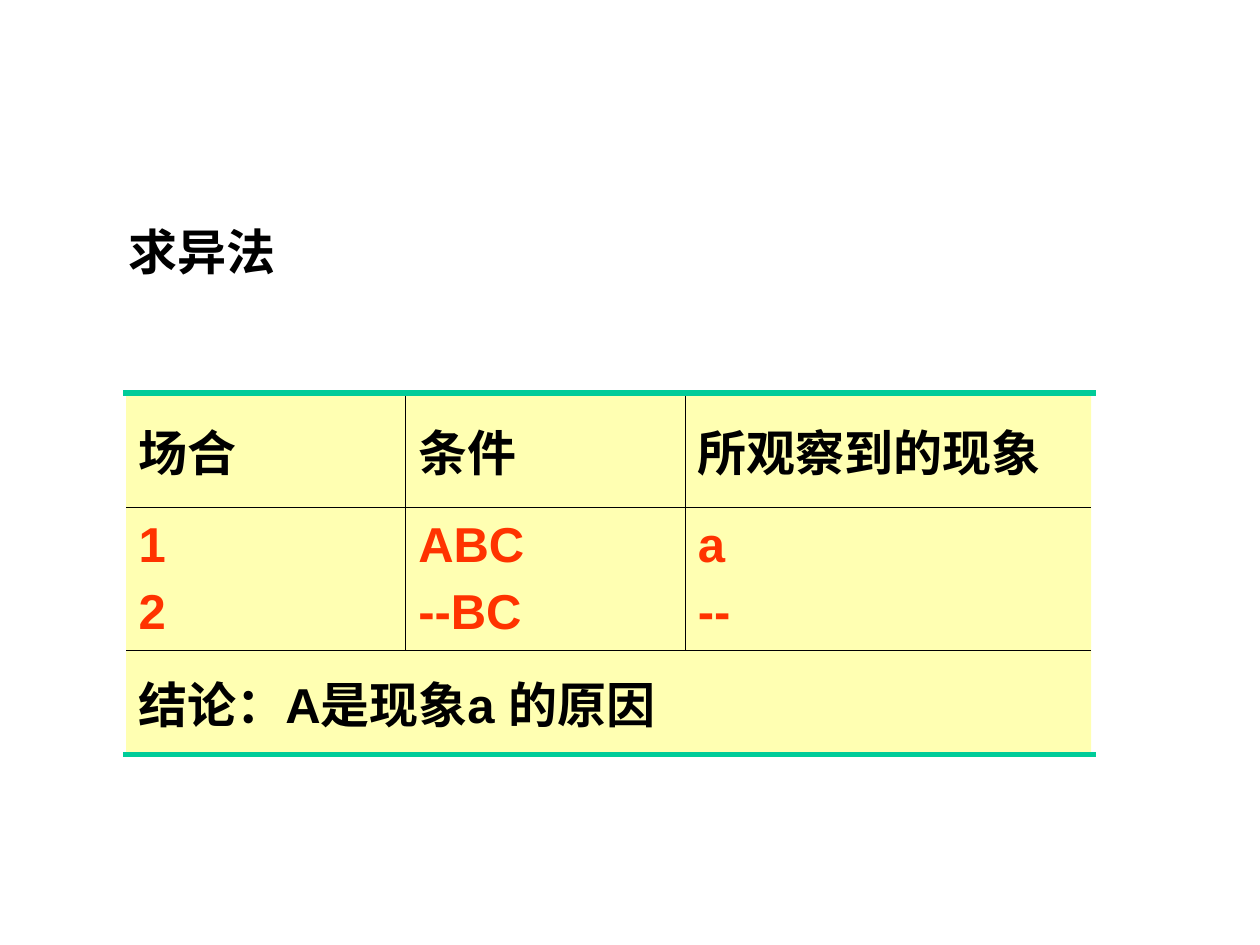
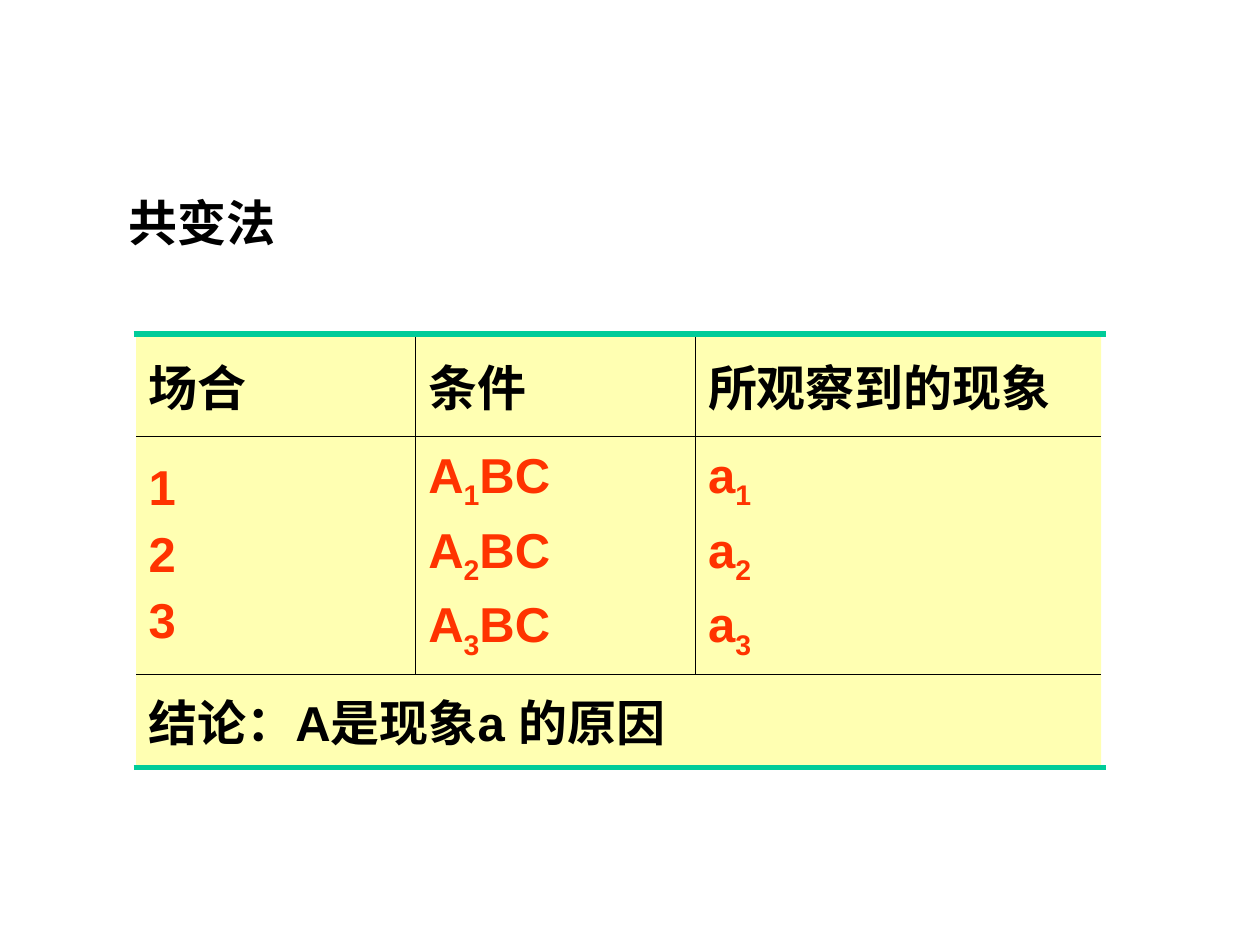
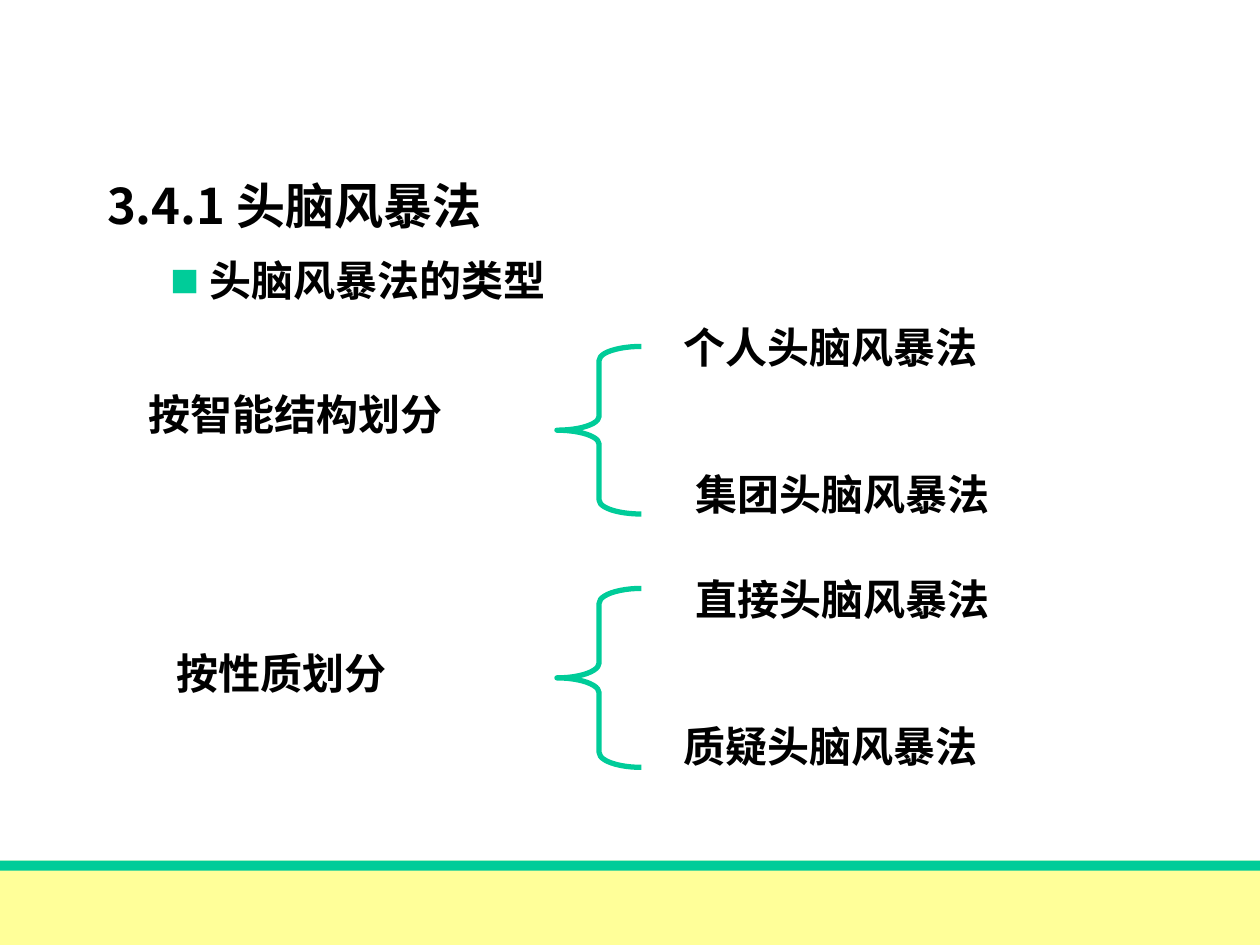
import pptx
import pptx.dml.color
import pptx.enum.shapes
import pptx.enum.text
import pptx.oxml
import pptx.oxml.ns
import pptx.util
from pptx.util import Inches

COLORS = {"text": "000000", "accent": "00CC99", "result": "FF3300",
          "cell": "FFFF66", "band": "FFFF99"}
EAST_ASIAN = "Noto Sans CJK SC"
TITLE = {"name": "Times New Roman", "size": pptx.util.Pt(28), "bold": True}
LABEL = {**TITLE, "size": pptx.util.Pt(24)}
CELL = {**TITLE, "name": "Arial"}
HEADING = {**TITLE, "name": EAST_ASIAN}
BULLET = {**LABEL, "name": "Arial"}

HEADERS = ["场合", "条件", "所观察到的现象"]
CONCLUSION = "结论：A是现象a 的原因"
COLUMNS = [2.22, 2.22, 3.22]
INNER, OUTER = 0.45, 1.08
SHAPES = pptx.enum.shapes.MSO_SHAPE


def color(name):
    return pptx.dml.color.RGBColor.from_string(COLORS[name])


def set_values(target, values):
    for name, value in values.items():
        setattr(target, name, value)


def add_xml(parent, tag, **attributes):
    child = parent.makeelement(pptx.oxml.ns.qn(tag), attributes)
    parent.append(child)
    return child


def add_edges(cell, widths):
    """Draw the cell's sides; a width of 0 leaves a side without a line."""
    properties = cell._tc.get_or_add_tcPr()
    for side in "LRTB":
        width = widths[side]
        line = add_xml(properties, f"a:ln{side}", w=str(int(pptx.util.Pt(width))))
        if width:
            fill = add_xml(line, "a:solidFill")
            add_xml(fill, "a:srgbClr", val=COLORS["text"])
        else:
            add_xml(line, "a:noFill")


def add_bullet(para, character, percent):
    properties = para._p.get_or_add_pPr()
    add_xml(add_xml(properties, "a:buClr"), "a:srgbClr", val=COLORS["accent"])
    add_xml(properties, "a:buSzPct", val=str(percent * 1000))
    add_xml(properties, "a:buFont", typeface="Arial")
    add_xml(properties, "a:buChar", char=character)


class SlideBuilder:
    def __init__(self, deck):
        self.deck = deck
        self.slide = None

    def new_slide(self, layout):
        self.slide = self.deck.slides.add_slide(self.deck.slide_layouts.get_by_name(layout))

    def place(self, shape, left, top, width, height):
        set_values(shape, {"left": Inches(left), "top": Inches(top),
                           "width": Inches(width), "height": Inches(height)})

    def add_text(self, para, parts, style, tint="text"):
        """Add text; in a tuple every second part is a subscript."""
        for index, part in enumerate([parts] if isinstance(parts, str) else parts):
            span = para.add_run()
            span.text = part
            set_values(span.font, style)
            span.font.color.rgb = color(tint)
            properties = span._r.get_or_add_rPr()
            add_xml(properties, "a:ea", typeface=EAST_ASIAN)
            if index % 2:
                properties.set("baseline", "-25000")

    def title(self, text, top):
        box = self.slide.shapes.title
        self.place(box, 0.92, top, 5.17, 0.57)
        set_values(box.text_frame, {"auto_size": pptx.enum.text.MSO_AUTO_SIZE.NONE,
                                    "vertical_anchor": pptx.enum.text.MSO_ANCHOR.TOP})
        para = box.text_frame.paragraphs[0]
        para.alignment = pptx.enum.text.PP_ALIGN.LEFT
        self.add_text(para, text, TITLE)

    def heading_list(self, heading, item):
        title = self.slide.shapes.title
        title._element.getparent().remove(title._element)
        box = self.slide.placeholders[1]
        self.place(box, 0.75, 1.25, 8.75, 1.33)
        frame = box.text_frame
        frame.auto_size = pptx.enum.text.MSO_AUTO_SIZE.NONE
        first, second = frame.paragraphs[0], frame.add_paragraph()
        second.level = 1
        for para, margin, indent in [(first, 0.38, -0.38), (second, 0.81, -0.31)]:
            properties = para._p.get_or_add_pPr()
            properties.set("marL", str(Inches(margin)))
            properties.set("indent", str(Inches(indent)))
        add_xml(first._p.get_or_add_pPr(), "a:buNone")
        add_bullet(second, "■", 115)
        set_values(first, {"line_spacing": 1.2, "space_before": pptx.util.Pt(0)})
        set_values(second, {"line_spacing": 1.2, "space_before": pptx.util.Pt(6)})
        self.add_text(first, heading, HEADING)
        self.add_text(second, item, BULLET)

    def label(self, text, left, top, width=2.58, line_spacing=1.0):
        box = self.slide.shapes.add_textbox(Inches(left), Inches(top), Inches(width), Inches(0.5))
        box.text_frame.word_wrap = True
        para = box.text_frame.paragraphs[0]
        para.line_spacing = line_spacing
        self.add_text(para, text, LABEL)

    def rule(self, left, right, y):
        line = self.slide.shapes.add_connector(
            pptx.enum.shapes.MSO_CONNECTOR.STRAIGHT,
            Inches(left), Inches(y), Inches(right), Inches(y))
        line.line.color.rgb = color("accent")
        line.line.width = pptx.util.Pt(3)
        add_xml(line._element.spPr, "a:effectLst")

    def brace(self, top, height):
        width = 0.67
        brace = self.slide.shapes.add_shape(
            SHAPES.LEFT_BRACE, Inches(4.42), Inches(top), Inches(width), Inches(height))
        brace.adjustments[0] = height / 12 / width
        brace.shadow.inherit = False
        brace.fill.background()
        brace.line.color.rgb = color("accent")
        brace.line.width = pptx.util.Pt(3)

    def footer(self):
        group = self.slide.shapes.add_group_shape()
        for tint, height in [("band", 0.67), ("accent", 0.08)]:
            bar = group.shapes.add_shape(
                SHAPES.RECTANGLE, 0, Inches(6.83), self.deck.slide_width, Inches(height))
            bar.shadow.inherit = False
            bar.fill.solid()
            bar.fill.fore_color.rgb = color(tint)
            bar.line.fill.background()

    def method_table(self, left, top, heights, observations):
        """Draw headers, one cell of observations per column and the conclusion."""
        width, height = sum(COLUMNS), sum(heights)
        table = self.slide.shapes.add_table(
            3, 3, Inches(left), Inches(top), Inches(width), Inches(height)).table
        set_values(table, {"first_row": False, "horz_banding": False})
        for column, size in zip(table.columns, COLUMNS):
            column.width = Inches(size)
        for row, size in zip(table.rows, heights):
            row.height = Inches(size)
        table.cell(2, 0).merge(table.cell(2, 2))
        contents = [[[header] for header in HEADERS], observations, [[CONCLUSION], [], []]]
        for r, row in enumerate(contents):
            for c, lines in enumerate(row):
                cell = table.cell(r, c)
                inside = r < 2
                add_edges(cell, {"L": INNER if c and inside else 0,
                                 "R": INNER if c < 2 and inside else 0,
                                 "T": INNER if r else OUTER,
                                 "B": INNER if inside else OUTER})
                self.fill_cell(cell, lines, "result" if r == 1 else "text")
        for y in (top, top + height):
            self.rule(left - 0.02, left + width + 0.04, y)

    def fill_cell(self, cell, lines, tint):
        cell.fill.solid()
        cell.fill.fore_color.rgb = color("cell")
        fill = cell._tc.tcPr.find(pptx.oxml.ns.qn("a:solidFill"))
        add_xml(fill[0], "a:alpha", val="50000")
        cell.vertical_anchor = pptx.enum.text.MSO_ANCHOR.MIDDLE
        for index, line in enumerate(lines):
            frame = cell.text_frame
            para = frame.add_paragraph() if index else frame.paragraphs[0]
            if index:
                para.space_before = pptx.util.Pt(7)
            self.add_text(para, line, CELL, tint)


def main():
    deck = pptx.Presentation()
    deck.slide_width, deck.slide_height = Inches(10), Inches(7.5)
    builder = SlideBuilder(deck)

    builder.new_slide("Title Only")
    builder.title("求异法", 1.71)
    builder.method_table(1, 3.12, [0.91, 1.13, 0.83],
                         [["1", "2"], ["ABC", "--BC"], ["a", "--"]])

    builder.new_slide("Title Only")
    builder.title("共变法", 1.48)
    cases = ["1", "2", "3"]
    builder.method_table(1.08, 2.65, [0.81, 1.89, 0.74],
                         [cases, [("A", n, "BC") for n in cases], [("a", n) for n in cases]])

    builder.new_slide("Title and Content")
    builder.heading_list("3.4.1 头脑风暴法", "头脑风暴法的类型")
    builder.footer()
    builder.brace(2.75, 1.33)
    builder.brace(4.67, 1.42)
    builder.label("按智能结构划分", 1.08, 3.08, width=3.08, line_spacing=0.9)
    builder.label("按性质划分", 1.3, 5.09)
    for text, left, top in [("个人头脑风暴法", 5.33, 2.5), ("集团头脑风暴法", 5.42, 3.67),
                            ("直接头脑风暴法", 5.42, 4.5), ("质疑头脑风暴法", 5.33, 5.67)]:
        builder.label(text, left, top)

    deck.save("out.pptx")


if __name__ == "__main__":
    main()
